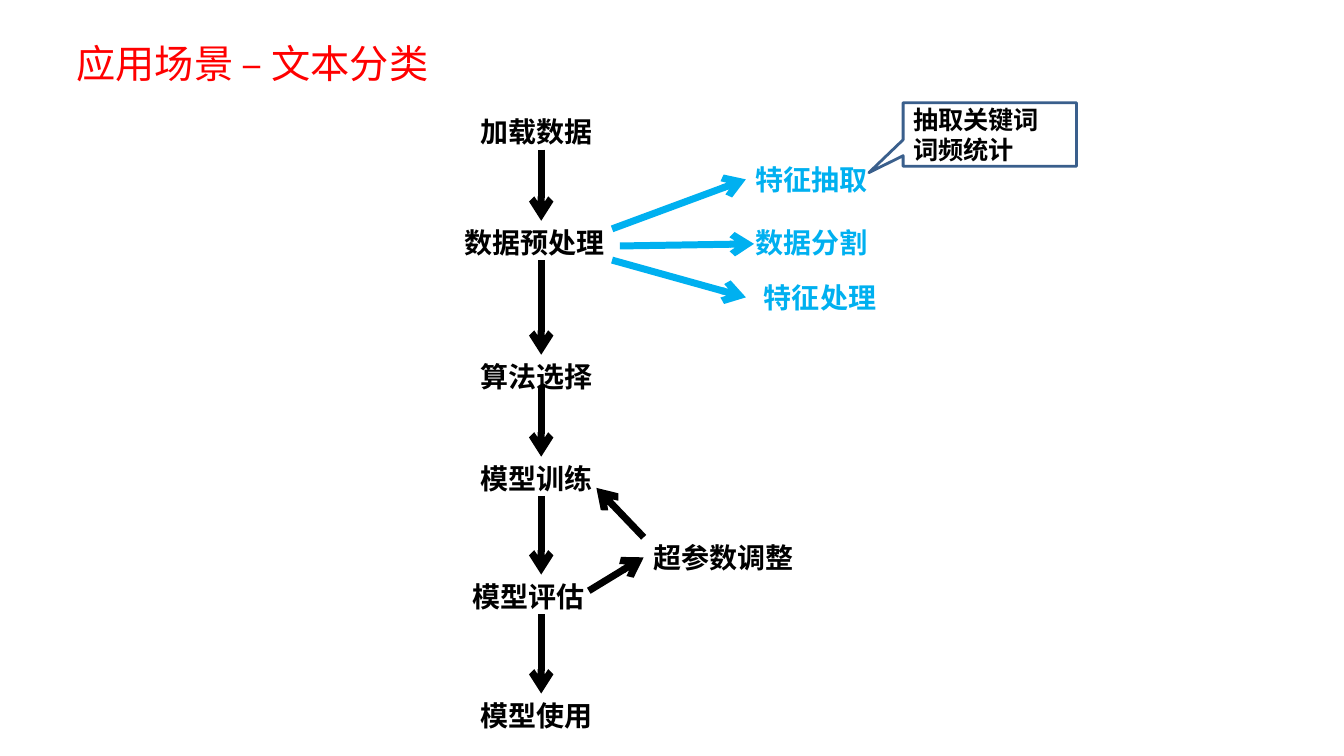
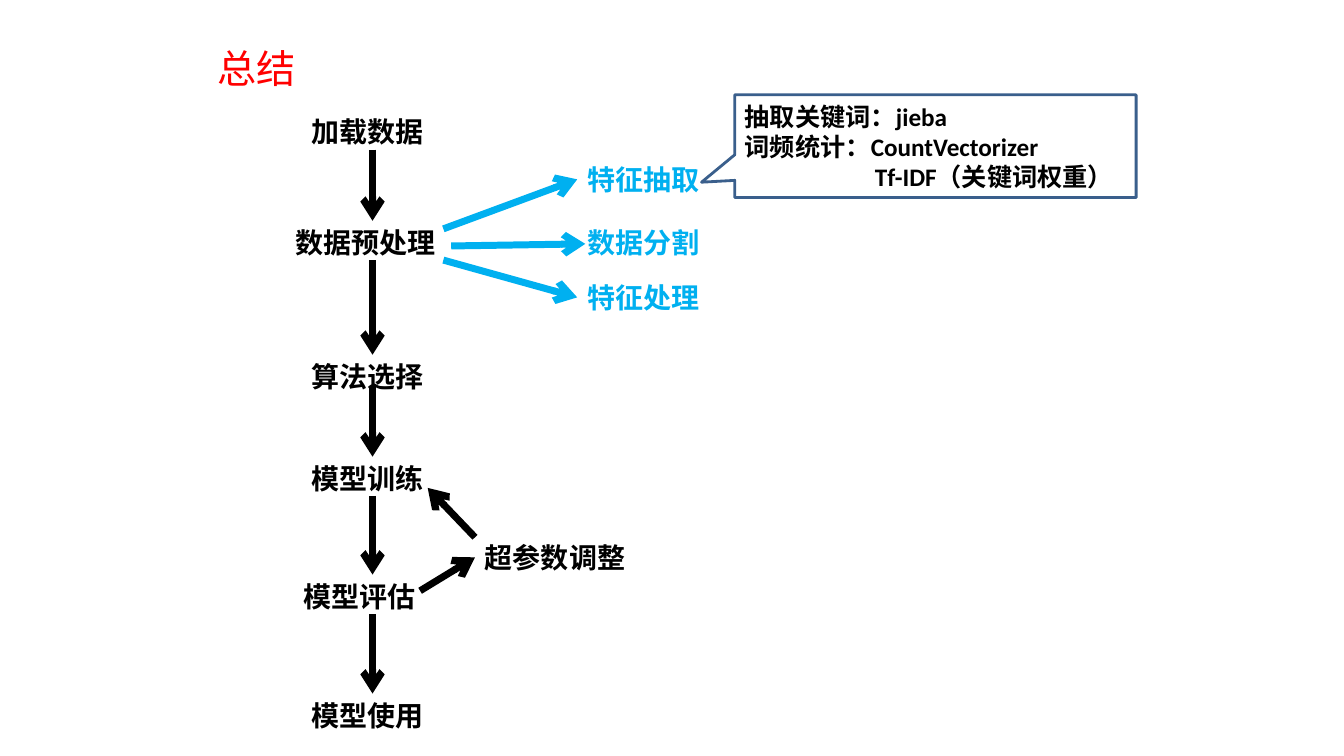
from lxml.etree import SubElement
from pptx import Presentation
from pptx.dml.color import RGBColor
from pptx.enum.shapes import MSO_CONNECTOR as CONNECTOR, MSO_SHAPE as SHAPE
from pptx.enum.text import MSO_ANCHOR as ANCHOR, MSO_AUTO_SIZE as AUTO_SIZE, PP_ALIGN as ALIGN
from pptx.oxml.ns import qn
from pptx.util import Pt

COLORS = {"title": "FF0000", "main": "000000", "branch": "00B0F0",
          "paper": "FFFFFF", "outline": "3A5F8C"}
CJK_FONT = "Noto Sans CJK SC"
TITLE_FONT = {"name": CJK_FONT, "size": Pt(28), "bold": False}
LABEL_FONT = {"name": "Calibri", "size": Pt(20), "bold": True}
CALLOUT_FONT = {"name": "Calibri", "size": Pt(18), "bold": True}
LABEL_HEIGHT = 31.6

LABELS = [
    ("加载数据", -50.6, 78.5, "main"),
    ("数据预处理", -62, 157.7, "main"),
    ("算法选择", -50.6, 253.4, "main"),
    ("模型训练", -50.6, 326.2, "main"),
    ("模型评估", -56.2, 410.4, "main"),
    ("模型使用", -50.6, 495.4, "main"),
    ("超参数调整", 73.2, 382.3, "main"),
    ("特征抽取", 146.2, 112.3, "branch"),
    ("数据分割", 146.2, 157.7, "branch"),
    ("特征处理", 146.2, 196.6, "branch"),
]
ARROWS = [
    (0, 106.9, 0, 157.7, "main"),
    (0, 186, 0, 253.4, "main"),
    (0, 275.8, 0, 326.2, "main"),
    (0, 354.2, 0, 410.4, "main"),
    (0, 438.8, 0, 495.4, "main"),
    (73.2, 383.8, 39.4, 348.5, "main"),
    (34, 422, 73.2, 398.1, "main"),
    (50.6, 163.5, 146.2, 128.1, "branch"),
    (56.2, 175.7, 152, 174.2, "branch"),
    (50.6, 185.8, 146.2, 212.4, "branch"),
]
SLIDES = [
    {
        "title": ("应用场景 – 文本分类", 47.5, 24.5, 273),
        "axis": 386.6,
        "shifts": {"特征处理": 5.8},
        "callout": (645.1, 73.4, 123.8, 45.4),
        "tip": (-0.698, 0.601),
        "lines": [("抽取关键词", 0), ("词频统计", 0)],
    },
    {
        "title": ("总结", 148.3, 28.1, 71.3),
        "axis": 266.1,
        "shifts": {},
        "callout": (524.9, 67.7, 286.6, 73.4),
        "tip": (-0.583, 0.351),
        "lines": [("抽取关键词：jieba", 0), ("词频统计：CountVectorizer", 0),
                  ("Tf-IDF（关键词权重）", 93)],
    },
]


def write(paragraph, text, font_values, color):
    paragraph.alignment = ALIGN.LEFT
    run = paragraph.add_run()
    run.text = text
    for name, value in font_values.items():
        setattr(run.font, name, value)
    run.font.color.rgb = RGBColor.from_string(COLORS[color])
    SubElement(run.font._element, qn("a:ea")).set("typeface", CJK_FONT)


def set_frame(frame, **values):
    for name, value in values.items():
        setattr(frame, name, value)


presentation = Presentation()
presentation.slide_width, presentation.slide_height = Pt(960), Pt(540)

for content in SLIDES:
    slide = presentation.slides.add_slide(presentation.slide_layouts[5])
    axis = content["axis"]

    text, left, top, width = content["title"]
    title = slide.shapes.title
    title.left, title.top, title.width, title.height = Pt(left), Pt(top), Pt(width), Pt(41)
    set_frame(title.text_frame, word_wrap=False, auto_size=AUTO_SIZE.NONE,
              vertical_anchor=ANCHOR.TOP)
    write(title.text_frame.paragraphs[0], text, TITLE_FONT, "title")

    labels = []
    for text, offset, top, color in LABELS:
        left = axis + offset + content["shifts"].get(text, 0)
        width = 20 * len(text) + 16
        label = slide.shapes.add_textbox(Pt(left), Pt(top), Pt(width), Pt(LABEL_HEIGHT))
        set_frame(label.text_frame, word_wrap=False, auto_size=AUTO_SIZE.SHAPE_TO_FIT_TEXT)
        write(label.text_frame.paragraphs[0], text, LABEL_FONT, color)
        labels.append(label)

    for begin_x, begin_y, end_x, end_y, color in ARROWS:
        arrow = slide.shapes.add_connector(
            CONNECTOR.STRAIGHT, Pt(axis + begin_x), Pt(begin_y), Pt(axis + end_x), Pt(end_y))
        arrow.line.color.rgb = RGBColor.from_string(COLORS[color])
        arrow.line.width = Pt(5)
        SubElement(arrow.line._get_or_add_ln(), qn("a:tailEnd")).set("type", "arrow")
        SubElement(arrow._element.spPr, qn("a:effectLst"))
        for label in labels:
            middle = label.top + label.height // 2
            if abs(label.left - arrow.end_x) < Pt(1) and abs(middle - arrow.end_y) < Pt(1):
                arrow.end_connect(label, 1)

    callout = slide.shapes.add_shape(
        SHAPE.RECTANGULAR_CALLOUT, *[Pt(length) for length in content["callout"]])
    callout.shadow.inherit = False
    callout.fill.solid()
    callout.fill.fore_color.rgb = RGBColor.from_string(COLORS["paper"])
    callout.line.color.rgb = RGBColor.from_string(COLORS["outline"])
    callout.line.width = Pt(2)
    for index, value in enumerate(content["tip"]):
        callout.adjustments[index] = value
    frame = callout.text_frame
    set_frame(frame, word_wrap=True, vertical_anchor=ANCHOR.MIDDLE)
    for index, (text, indent) in enumerate(content["lines"]):
        paragraph = frame.add_paragraph() if index else frame.paragraphs[0]
        write(paragraph, text, CALLOUT_FONT, "main")
        if indent:
            paragraph._p.get_or_add_pPr().set("marL", str(Pt(indent)))

presentation.save("out.pptx")
